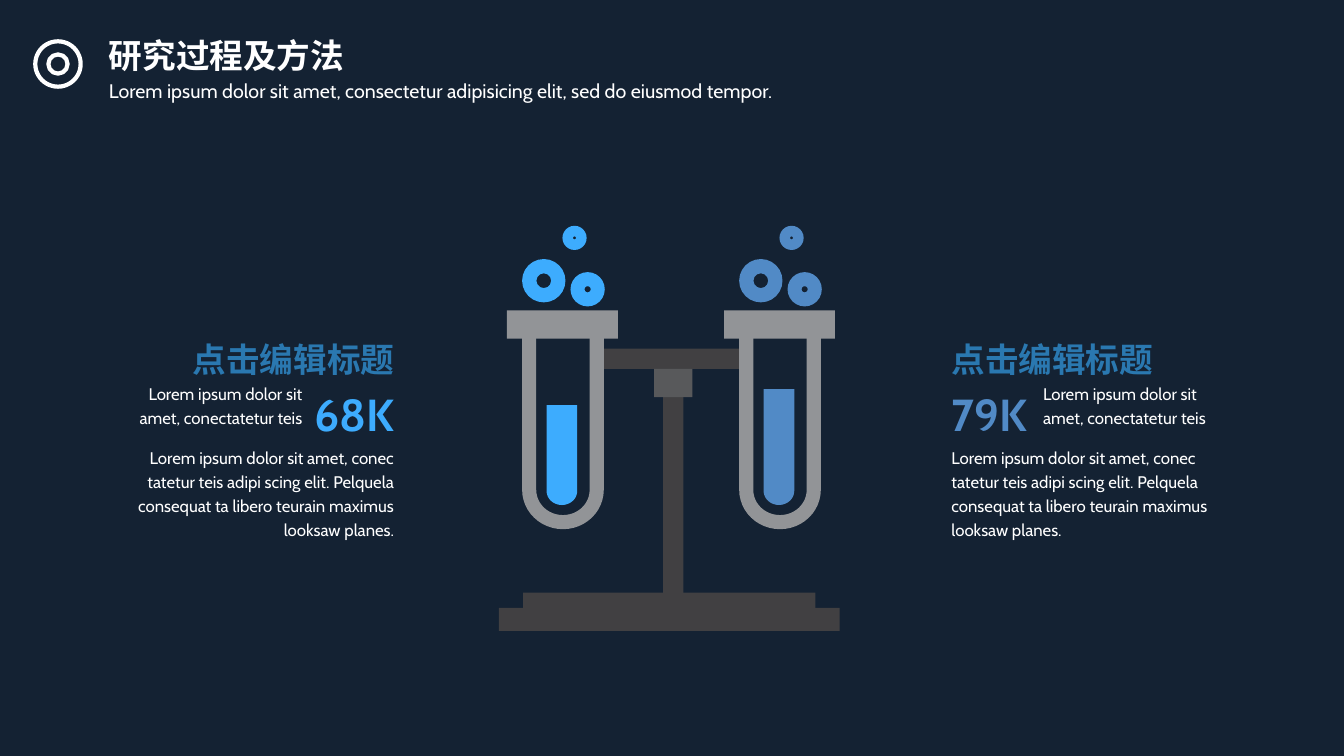
import math
from pptx import Presentation, util as u
from pptx.dml.color import RGBColor
from pptx.enum import shapes, text

NAVY = RGBColor(0x14, 0x22, 0x33)
WHITE = RGBColor(0xFF, 0xFF, 0xFF)
HEADING_BLUE = RGBColor(0x2A, 0x78, 0xB0)
SKY = RGBColor(0x3D, 0xAC, 0xFE)
STEEL = RGBColor(0x51, 0x8A, 0xC6)
CHARCOAL = RGBColor(0x41, 0x40, 0x42)
CLAMP_GREY = RGBColor(0x58, 0x59, 0x5B)
GLASS = RGBColor(0x92, 0x94, 0x97)

CELL = u.Inches(0.1)
COLUMNS, ROWS = 133.33, 75


def cells(*values):
    return [round(value * CELL) for value in values]


def write(shape, place, wording, size, color, bold=False, wrap=True, align=text.PP_ALIGN.LEFT):
    shape.left, shape.top, shape.width, shape.height = cells(*place)
    frame = shape.text_frame
    frame.text = wording
    paragraph = frame.paragraphs[0]
    formats = (
        (frame, {"word_wrap": wrap, "auto_size": text.MSO_AUTO_SIZE.NONE,
                 "vertical_anchor": text.MSO_ANCHOR.TOP}),
        (paragraph, {"alignment": align, "line_spacing": 1.2, "space_before": u.Pt(0)}),
        (paragraph.runs[0].font, {"name": "Cabin", "size": u.Pt(size), "bold": bold}),
    )
    for target, values in formats:
        for name, value in values.items():
            setattr(target, name, value)
    paragraph.runs[0].font.color.rgb = color


presentation = Presentation()
presentation.slide_width, presentation.slide_height = cells(COLUMNS, ROWS)
slide = presentation.slides.add_slide(presentation.slide_layouts.get_by_name("Section Header"))
slide.background.fill.solid()
slide.background.fill.fore_color.rgb = NAVY
canvas = slide.shapes
painted = []

stand = [
    (59.4, 34.6, 13.9, 2, CHARCOAL),
    (51.9, 58.8, 29, 1.5, CHARCOAL),
    (49.5, 60.3, 33.8, 2.3, CHARCOAL),
    (65.8, 35.7, 2, 24.6, CHARCOAL),
    (64.9, 36.6, 3.8, 2.8, CLAMP_GREY),
]
for *place, color in stand:
    painted.append((canvas.add_shape(shapes.MSO_SHAPE.RECTANGLE, *cells(*place)), color))

bubbles = [(6.3, 27, 3.4, 0.41), (1.5, 25.7, 4.3, 0.33), (5.5, 22.4, 2.4, 0.44)]
half_turn = [math.pi * step / 24 for step in range(25)]

for tube_left, level, color in [(71.83, 38.6, STEEL), (50.3, 40.2, SKY)]:
    curves = []
    for center, bend, radius, depth in [(5.55, 48.6, 4.05, 3.9), (5.55, 48.6, 2.65, 2.5), (5.45, 48.7, 1.52, 1.4)]:
        curves.append([(tube_left + center - radius * math.cos(angle), bend + depth * math.sin(angle))
                       for angle in half_turn])
    outer, inner, liquid = curves
    rim = 33
    glass_outline = [(outer[0][0], rim), *outer, (outer[-1][0], rim),
                     (inner[-1][0], rim), *reversed(inner), (inner[0][0], rim)]
    liquid_outline = [(liquid[0][0], level), *liquid, (liquid[-1][0], level)]
    for outline, fill in [(glass_outline, GLASS), (liquid_outline, color)]:
        points = [cells(*point) for point in outline]
        builder = canvas.build_freeform(*points[0])
        builder.add_line_segments(points[1:], close=True)
        painted.append((builder.convert_to_shape(), fill))
    collar = canvas.add_shape(shapes.MSO_SHAPE.RECTANGLE, *cells(tube_left, 30.8, 11, 2.8))
    painted.append((collar, GLASS))
    for offset, top, diameter, thickness in bubbles:
        bubble = canvas.add_shape(shapes.MSO_SHAPE.DONUT, *cells(tube_left + offset, top, diameter, diameter))
        bubble.adjustments[0] = thickness
        painted.append((bubble, color))

for shape, color in painted:
    shape.shadow.inherit = False
    shape.fill.solid()
    shape.fill.fore_color.rgb = color
    shape.line.fill.background()

sides = [(40.1, "68K", SKY, text.PP_ALIGN.RIGHT), (93.4, "79K", STEEL, text.PP_ALIGN.LEFT)]
for edge, number, number_color, align in sides:
    blocks = [
        (0, 32.3, 22.2, 5.4, "点击编辑标题", 24, HEADING_BLUE, True, False),
        (9.1, 37.2, 19, 5.6, "Lorem ipsum dolor sit amet, conectatetur teis", 12, WHITE, False, True),
        (0, 36.8, 10.1, 6.9, number, 32, number_color, True, False),
        (0, 43.5, 28.1, 10.7, "Lorem ipsum dolor sit amet, conec tatetur teis adipi scing elit. "
         "Pelquela consequat ta libero teurain maximus looksaw planes.", 12, WHITE, False, True),
    ]
    for inset, top, width, height, wording, size, color, bold, wrap in blocks:
        left = edge + inset if align == text.PP_ALIGN.LEFT else edge - inset - width
        write(canvas.add_textbox(0, 0, 0, 0), (left, top, width, height),
              wording, size, color, bold, wrap, align)

write(slide.placeholders[1], (9.8, 6.9, 78.5, 3.6),
      "Lorem ipsum dolor sit amet, consectetur adipisicing elit, sed do eiusmod tempor.", 14, WHITE)
write(canvas.title, (9.8, 2.2, 29, 5.4), "研究过程及方法", 24, WHITE, True)

icon_center = (5.75, 6.35)
for diameter in (4.5, 1.9):
    corner = [middle - diameter / 2 for middle in icon_center]
    ring = canvas.add_shape(shapes.MSO_SHAPE.OVAL, *cells(*corner, diameter, diameter))
    ring.shadow.inherit = False
    ring.fill.background()
    ring.line.color.rgb = WHITE
    ring.line.width = u.Pt(3)

presentation.save("out.pptx")
